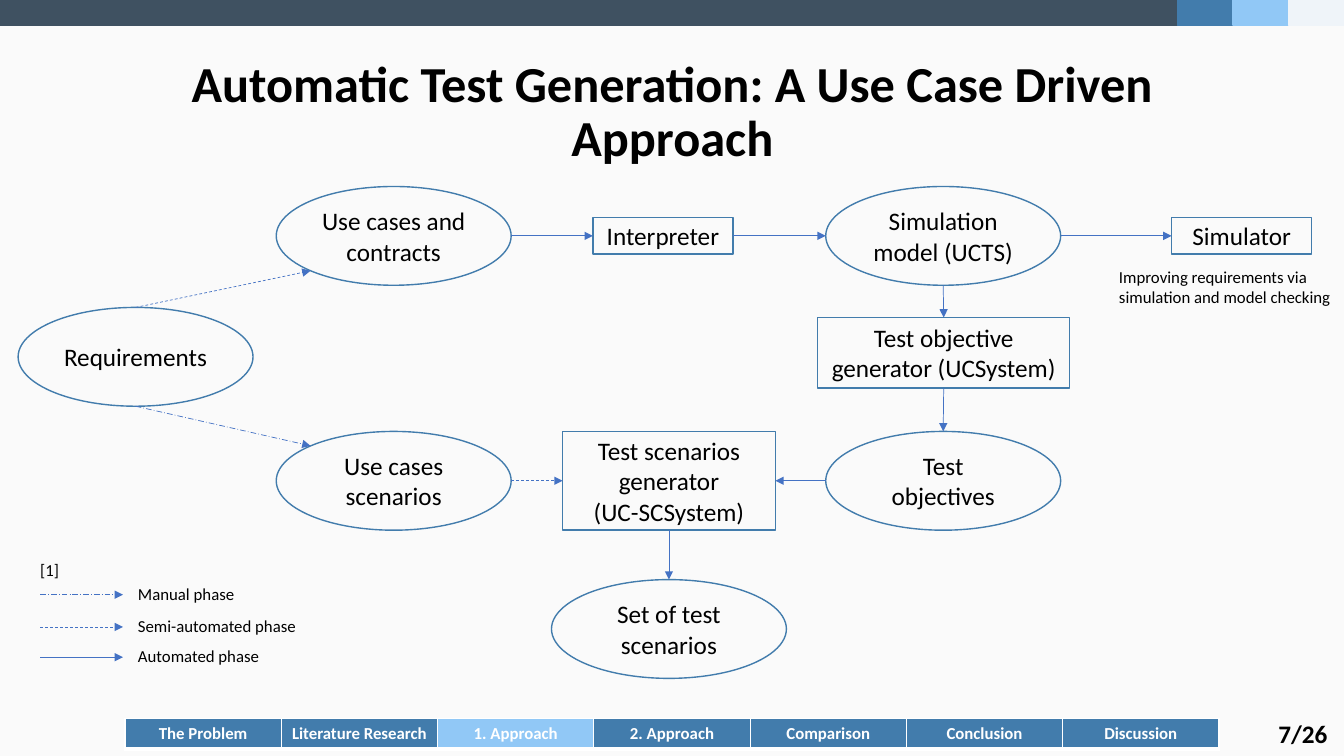
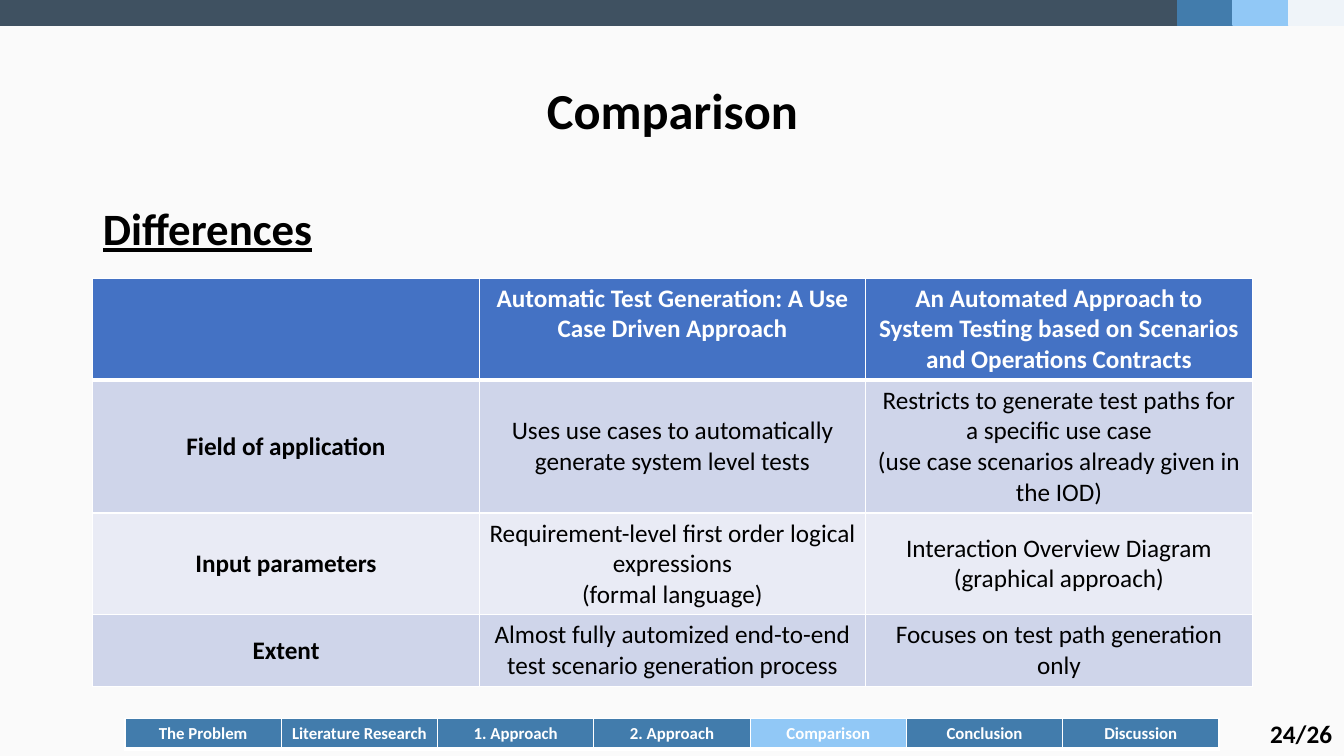
from dataclasses import dataclass
from typing import Optional

import lxml.etree
import pptx
import pptx.dml.color
import pptx.dml.fill
import pptx.enum.dml
import pptx.enum.shapes
import pptx.enum.text
import pptx.oxml.ns
import pptx.presentation
import pptx.shapes.autoshape
import pptx.slide
import pptx.table
import pptx.text.text
import pptx.util
from pptx.util import Inches

FONT = "Calibri"
BLACK = "000000"
WHITE = "FFFFFF"
NAVY = "3F5161"
BLUE = "427CAC"
SKY = "91C8F6"
PALE = "EFF4F9"
ACCENT = "4472C4"
BACKGROUND = "FAFAFA"
ROW_FILLS = (ACCENT, "CFD5EA", "E9EBF5", "CFD5EA")

SLIDE_WIDTH = 13.33
BAND_HEIGHT = 0.25
CONTENT_LEFT = 0.92
CONTENT_WIDTH = 11.5
SECTIONS = ("The Problem", "Literature Research", "1. Approach", "2. Approach",
            "Comparison", "Conclusion", "Discussion")

SHAPES = pptx.enum.shapes.MSO_SHAPE
ALIGN = pptx.enum.text.PP_ALIGN
MIDDLE = pptx.enum.text.MSO_ANCHOR.MIDDLE
DASHES = pptx.enum.dml.MSO_LINE
MANUAL = DASHES.LONG_DASH_DOT
SEMI_AUTOMATED = DASHES.DASH
AUTOMATED = None

SIDES = {"top": (0.5, 0), "left": (0, 0.5), "bottom": (0.5, 1), "right": (1, 0.5),
         "top left": (0.146, 0.146), "bottom left": (0.146, 0.854)}
SITES = {"top": 0, "left": 1, "bottom": 2, "right": 3}


@dataclass(frozen=True)
class Band:
    width: float
    color: str


@dataclass(frozen=True)
class Node:
    text: str
    left: float
    top: float
    width: float = 2.33
    height: float = 0.98
    oval: bool = True

    def point(self, side: str) -> tuple[float, float]:
        across, down = SIDES[side]
        return self.left + across * self.width, self.top + down * self.height


@dataclass(frozen=True)
class Flow:
    source: str
source_side: str = ""


@dataclass(frozen=True)
class Arrow:
    source: str
    source_side: str
    target: str
    target_side: str
    dash: Optional[DASHES] = AUTOMATED


@dataclass(frozen=True)
class Label:
    text: str
    left: float
    top: float
    width: float = 1.83
    height: float = 0.3
    size: int = 12
    bold: bool = False


@dataclass(frozen=True)
class LegendEntry:
    text: str
    line_top: float
    dash: Optional[DASHES]


BANDS = (Band(11.68, NAVY), Band(0.55, BLUE), Band(0.55, SKY), Band(0.55, PALE))

NODES = {
    "requirements": Node("Requirements", 0.18, 3.05),
    "contracts": Node("Use cases and contracts", 2.74, 1.85),
    "interpreter": Node("Interpreter", 5.88, 2.16, 1.39, 0.36, False),
    "model": Node("Simulation model (UCTS)", 8.19, 1.85),
    "simulator": Node("Simulator", 11.62, 2.16, 1.39, 0.36, False),
    "objective generator": Node("Test objective generator (UCSystem)", 8.11, 3.15, 2.5, 0.7, False),
    "objectives": Node("Test objectives", 8.19, 4.28),
    "scenario generator": Node("Test scenarios generator\n(UC-SCSystem)", 5.58, 4.28, 2.11, 0.98, False),
    "scenarios": Node("Use cases scenarios", 2.74, 4.28),
    "result": Node("Set of test scenarios", 5.47, 5.75),
}

ARROWS = (
    Arrow("requirements", "top", "contracts", "bottom left", SEMI_AUTOMATED),
    Arrow("requirements", "bottom", "scenarios", "top left", MANUAL),
    Arrow("contracts", "right", "interpreter", "left"),
    Arrow("interpreter", "right", "model", "left"),
    Arrow("model", "right", "simulator", "left"),
    Arrow("model", "bottom", "objective generator", "top"),
    Arrow("objective generator", "bottom", "objectives", "top"),
    Arrow("objectives", "left", "scenario generator", "right"),
    Arrow("scenarios", "right", "scenario generator", "left", SEMI_AUTOMATED),
    Arrow("scenario generator", "bottom", "result", "top"),
)

LEGEND = (
    LegendEntry("Manual phase", 5.9, MANUAL),
    LegendEntry("Semi-automated phase", 6.22, SEMI_AUTOMATED),
    LegendEntry("Automated phase", 6.52, AUTOMATED),
)

COMPARISON = (
    ("", "Automatic Test Generation: A Use Case Driven Approach",
     "An Automated Approach to System Testing based on Scenarios and Operations Contracts"),
    ("Field of application", "Uses use cases to automatically generate system level tests",
     "Restricts to generate test paths for a specific use case\n"
     "(use case scenarios already given in the IOD)"),
    ("Input parameters", "Requirement-level first order logical expressions\n(formal language)",
     "Interaction Overview Diagram (graphical approach)"),
    ("Extent", "Almost fully automized end-to-end test scenario generation process",
     "Focuses on test path generation only"),
)
ROW_HEIGHTS = (1.01, 1.32, 1.01, 0.71)


def rgb(color: str) -> pptx.dml.color.RGBColor:
    return pptx.dml.color.RGBColor.from_string(color)


def paint(fill: pptx.dml.fill.FillFormat, color: str) -> None:
    fill.solid()
    fill.fore_color.rgb = rgb(color)


def write(frame: pptx.text.text.TextFrame, text: str, size: int, color: str = BLACK,
          bold: bool = False, align: ALIGN = ALIGN.CENTER) -> None:
    frame.text = text
    for paragraph in frame.paragraphs:
        paragraph.alignment = align
        font = paragraph.font
        font.name, font.size, font.bold = FONT, pptx.util.Pt(size), bold
        font.color.rgb = rgb(color)


def place(shape: pptx.shapes.autoshape.Shape, left: float, top: float,
          width: float, height: float) -> None:
    shape.left, shape.top = Inches(left), Inches(top)
    shape.width, shape.height = Inches(width), Inches(height)


def add_box(slide: pptx.slide.Slide, kind: SHAPES, left: float, top: float, width: float,
            height: float, line: str) -> pptx.shapes.autoshape.Shape:
    shape = slide.shapes.add_shape(kind, Inches(left), Inches(top), Inches(width), Inches(height))
    shape.shadow.inherit = False
    shape.line.color.rgb = rgb(line)
    shape.line.width = pptx.util.Pt(1)
    return shape


def add_bands(slide: pptx.slide.Slide, master: pptx.slide.SlideMaster) -> None:
    left = 0.0
    for index, band in enumerate(BANDS):
        shape = add_box(slide, SHAPES.RECTANGLE, left, 0, band.width, BAND_HEIGHT, band.color)
        paint(shape.fill, band.color)
        shape.element.nvSpPr.cNvPr.set("id", str(100 + index))
        master.shapes.element.append(shape.element)
        left += band.width


def add_node(slide: pptx.slide.Slide, node: Node) -> pptx.shapes.autoshape.Shape:
    kind = SHAPES.OVAL if node.oval else SHAPES.RECTANGLE
    shape = add_box(slide, kind, node.left, node.top, node.width, node.height, BLUE)
    shape.fill.background()
    shape.text_frame.vertical_anchor = MIDDLE
    write(shape.text_frame, node.text, 18)
    return shape


def add_line(slide: pptx.slide.Slide, start: tuple[float, float], end: tuple[float, float],
             dash: Optional[DASHES]) -> pptx.shapes.connector.Connector:
    connector = slide.shapes.add_connector(
        pptx.enum.shapes.MSO_CONNECTOR.STRAIGHT, *(Inches(value) for value in start + end))
    connector.line.color.rgb = rgb(ACCENT)
    connector.line.width = pptx.util.Pt(0.5)
    if dash is not None:
        connector.line.dash_style = dash
    qn = pptx.oxml.ns.qn
    properties = connector.element.spPr
    lxml.etree.SubElement(properties.find(qn("a:ln")), qn("a:tailEnd"), type="triangle")
    lxml.etree.SubElement(properties, qn("a:effectLst"))
    return connector


def add_label(slide: pptx.slide.Slide, label: Label) -> None:
    shape = slide.shapes.add_textbox(Inches(label.left), Inches(label.top),
                                     Inches(label.width), Inches(label.height))
    shape.text_frame.word_wrap = True
    write(shape.text_frame, label.text, label.size, bold=label.bold, align=ALIGN.LEFT)


def add_table(slide: pptx.slide.Slide, left: float, top: float, widths: list[float],
              heights: tuple[float, ...]) -> pptx.table.Table:
    frame = slide.shapes.add_table(len(heights), len(widths), Inches(left), Inches(top),
                                   Inches(sum(widths)), Inches(sum(heights)))
    table = frame.table
    table.first_row = table.horz_banding = False
    for column, width in zip(table.columns, widths):
        column.width = Inches(width)
    for row, height in zip(table.rows, heights):
        row.height = Inches(height)
    return table


def style_cell(cell: pptx.table._Cell, fill: str, top: int = 1, bottom: int = 1) -> None:
    qn = pptx.oxml.ns.qn
    properties = cell._tc.get_or_add_tcPr()
    for edge, width in (("L", 1), ("R", 1), ("T", top), ("B", bottom)):
        line = lxml.etree.SubElement(properties, qn(f"a:ln{edge}"), w=str(pptx.util.Pt(width)))
        solid = lxml.etree.SubElement(line, qn("a:solidFill"))
        lxml.etree.SubElement(solid, qn("a:srgbClr"), val=WHITE)
    paint(cell.fill, fill)


def add_frame(presentation: pptx.presentation.Presentation, layout: int, title: str,
              section: str, page: Label) -> pptx.slide.Slide:
    slide = presentation.slides.add_slide(presentation.slide_layouts[layout])
    shape = slide.shapes.title
    place(shape, CONTENT_LEFT, 0.4, CONTENT_WIDTH, 1.45)
    shape.text_frame.vertical_anchor = MIDDLE
    shape.text_frame.auto_size = pptx.enum.text.MSO_AUTO_SIZE.NONE
    write(shape.text_frame, title, 36, bold=True)
    shape.text_frame.paragraphs[0].line_spacing = 0.9
    table = add_table(slide, 1.24, 7.13, [1.55] * len(SECTIONS), (0.28,))
    for cell, name in zip(table.iter_cells(), SECTIONS):
        style_cell(cell, SKY if name == section else BLUE, bottom=3)
        write(cell.text_frame, name, 12, WHITE, True)
    add_label(slide, page)
    return slide


def build_approach(slide: pptx.slide.Slide) -> None:
    shapes = {name: add_node(slide, node) for name, node in NODES.items()}
    for arrow in ARROWS:
        source, target = NODES[arrow.source], NODES[arrow.target]
        connector = add_line(slide, source.point(arrow.source_side),
                             target.point(arrow.target_side), arrow.dash)
        if not source.oval:
            connector.begin_connect(shapes[arrow.source], SITES[arrow.source_side])
        if not target.oval:
            connector.end_connect(shapes[arrow.target], SITES[arrow.target_side])
    for entry in LEGEND:
        add_line(slide, (0.4, entry.line_top), (1.22, entry.line_top), entry.dash)
        add_label(slide, Label(entry.text, 1.27, entry.line_top - 0.16))
    add_label(slide, Label("[1]", 0.3, 5.5, 0.5))
    add_label(slide, Label("Improving requirements via simulation and model checking",
                           11, 2.6, 2.33, 0.5))


def build_comparison(slide: pptx.slide.Slide) -> None:
    body = slide.placeholders[1]
    place(body, CONTENT_LEFT, 2, CONTENT_WIDTH, 4.76)
    write(body.text_frame, "Differences", 32, bold=True, align=ALIGN.LEFT)
    paragraph = body.text_frame.paragraphs[0]
    paragraph.font.underline = True
    paragraph.line_spacing = 0.9
    paragraph.space_before = pptx.util.Pt(10)
    properties = paragraph._p.get_or_add_pPr()
    properties.set("marL", "0")
    properties.set("indent", "0")
    properties.insert_element_before(
        lxml.etree.SubElement(properties, pptx.oxml.ns.qn("a:buNone")), "a:defRPr")
    table = add_table(slide, CONTENT_LEFT, 2.76, [CONTENT_WIDTH / 3] * 3, ROW_HEIGHTS)
    for row, texts in enumerate(COMPARISON):
        header = row == 0
        for column, text in enumerate(texts):
            cell = table.cell(row, column)
            style_cell(cell, ROW_FILLS[row], 3 if row == 1 else 1, 3 if header else 1)
            if not header:
                cell.vertical_anchor = MIDDLE
            write(cell.text_frame, text, 18, WHITE if header else BLACK, header or column == 0)


def main() -> None:
    presentation = pptx.Presentation()
    presentation.slide_width, presentation.slide_height = Inches(SLIDE_WIDTH), Inches(7.5)
    master = presentation.slide_master
    paint(master.background.fill, BACKGROUND)
    approach = add_frame(presentation, 5, "Automatic Test Generation: A Use Case Driven Approach",
                         "1. Approach", Label("7/26", 12.58, 7.08, 0.75, 0.4, 18, True))
    add_bands(approach, master)
    build_approach(approach)
    comparison = add_frame(presentation, 1, "Comparison", "Comparison",
                           Label("24/26", 12.5, 7.08, 0.83, 0.4, 18, True))
    build_comparison(comparison)
    presentation.save("out.pptx")


if __name__ == "__main__":
    main()
